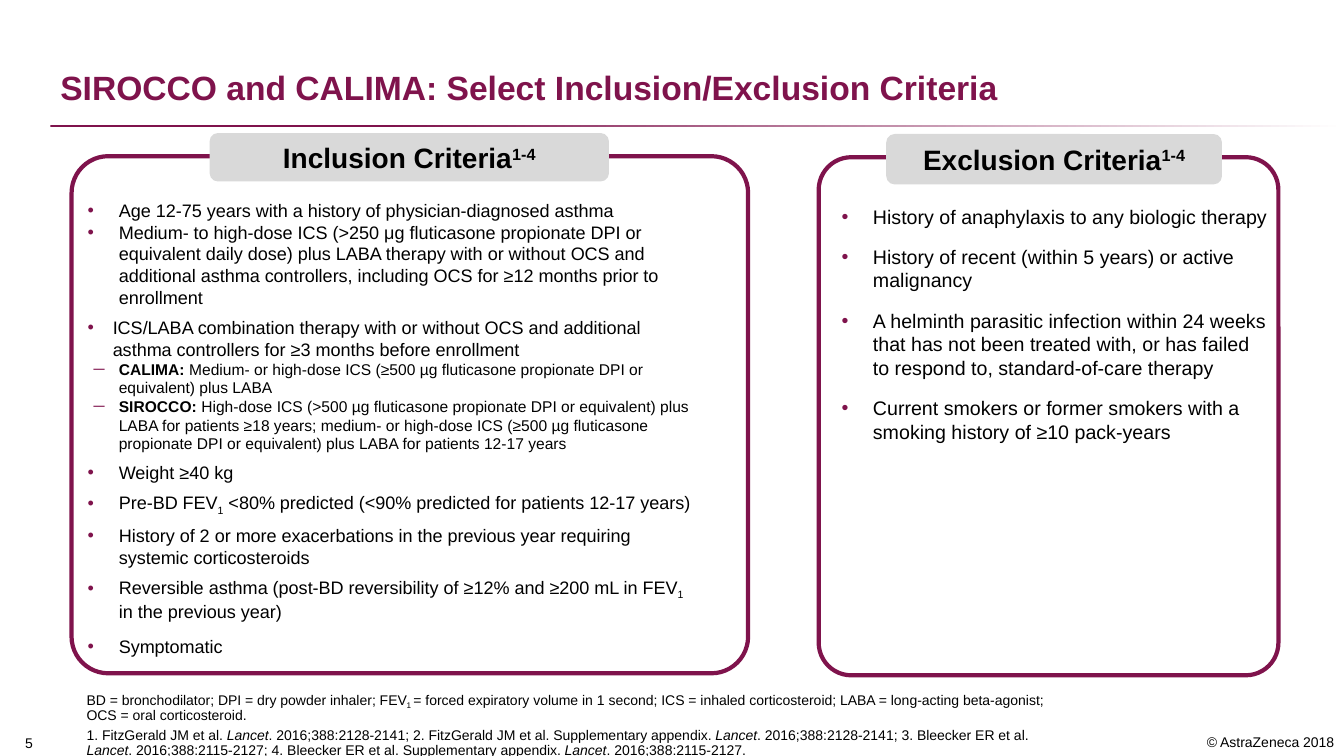
from dataclasses import dataclass

from lxml import etree
from pptx import Presentation
from pptx.dml import color
from pptx.enum import shapes, text
from pptx.oxml import ns
from pptx.util import Inches, Pt


@dataclass(frozen=True)
class Theme:
    font: str = "Arial"
    plum: str = "7F134C"
    grey: str = "D9D9D9"
    white: str = "FFFFFF"
    black: str = "000000"
    title: float = 24
    heading: float = 20
    exclusion: float = 14
    inclusion: float = 12.9
    detail: float = 11.1
    small: float = 10


@dataclass
class Item:
    runs: list
    indent: float = 0.31
    before: float = 6
    spacing: float = None
    size: float = None
    level: int = 0
    mark: str = "•"


THEME = Theme()
BASELINES = {"sub": "-25000", "sup": "30000"}

INCLUSION = [
    Item(["Age 12-75 years with a history of physician-diagnosed asthma"], before=0),
    Item(["Medium- to high-dose ICS (>250 μg fluticasone propionate DPI or equivalent daily dose) "
          "plus LABA therapy with or without OCS and additional asthma controllers, including OCS "
          "for ≥12 months prior to enrollment"], before=0),
    Item(["ICS/LABA combination therapy with or without OCS and additional asthma controllers "
          "for ≥3 months before enrollment"], indent=0.25),
    Item([("CALIMA: ", "bold"), "Medium- or high-dose ICS (≥500 µg fluticasone propionate DPI or "
          "equivalent) plus LABA"], before=0, size=THEME.detail, level=1, mark="─"),
    Item([("SIROCCO:", "bold"), " High-dose ICS (>500 µg fluticasone propionate DPI or equivalent) "
          "plus LABA for patients ≥18 years; medium- or high-dose ICS (≥500 µg fluticasone "
          "propionate DPI or equivalent) plus LABA for patients 12-17 years"],
         before=0, size=THEME.detail, level=1, mark="─"),
    Item(["Weight ≥40 kg"]),
    Item(["Pre-BD FEV", ("1", "sub"), " <80% predicted (<90% predicted for patients 12-17 years)"]),
    Item(["History of 2 or more exacerbations in the previous year requiring systemic "
          "corticosteroids"]),
    Item(["Reversible asthma (post-BD reversibility of ≥12% and ≥200 mL in FEV", ("1", "sub"),
          " in the previous year)"]),
    Item(["Symptomatic"], spacing=1.2),
]

EXCLUSION = [
    Item(["History of anaphylaxis to any biologic therapy"], before=0),
    Item(["History of recent (within 5 years) or active malignancy"], before=12),
    Item(["A helminth parasitic infection within 24 weeks that has not been treated with, or has "
          "failed to respond to, standard-of-care therapy"], before=12),
    Item(["Current smokers or former smokers with a smoking history of ≥10 pack-years"], before=12),
]

LANCET = ("Lancet", "italic")
FOOTNOTES = [
    Item(["BD = bronchodilator; DPI = dry powder inhaler; FEV", ("1 ", "sub"),
          "= forced expiratory volume in 1 second; ICS = inhaled corticosteroid; "
          "LABA = long-acting beta-agonist; OCS = oral corticosteroid."],
         before=0, spacing=0.9, mark=None),
    Item(["1. FitzGerald JM et al. ", LANCET,
          ". 2016;388:2128-2141; 2. FitzGerald JM et al. Supplementary appendix. ", LANCET,
          ". 2016;388:2128-2141; 3. Bleecker ER et al. ", LANCET,
          ". 2016;388:2115-2127; 4. Bleecker ER et al. Supplementary appendix. ", LANCET,
          ". 2016;388:2115-2127."], before=3, spacing=0.9, mark=None),
]


def rgb(value):
    return color.RGBColor.from_string(value)


def add_bullet(paragraph, item):
    properties = paragraph._p.get_or_add_pPr()
    hanging = Inches(min(item.indent, 0.25) if item.level else item.indent)
    properties.set("marL", str(Inches(item.indent)))
    properties.set("indent", str(-hanging))
    bullet_color = etree.SubElement(properties, ns.qn("a:buClr"))
    etree.SubElement(bullet_color, ns.qn("a:srgbClr"), val=THEME.plum)
    etree.SubElement(properties, ns.qn("a:buFont"), typeface=THEME.font)
    etree.SubElement(properties, ns.qn("a:buChar"), char=item.mark)


def write_text(frame, items, size, ink=THEME.black, bold=False, align=text.PP_ALIGN.LEFT,
               anchor=text.MSO_ANCHOR.TOP, insets=(0.1, 0.05, 0.1, 0.05)):
    frame.word_wrap = True
    frame.vertical_anchor = anchor
    frame.margin_left, frame.margin_top, frame.margin_right, frame.margin_bottom = map(Inches, insets)
    for index, item in enumerate(items):
        paragraph = frame.add_paragraph() if index else frame.paragraphs[0]
        if item.mark:
            add_bullet(paragraph, item)
        paragraph.alignment = align
        paragraph.level = item.level
        paragraph.space_before = Pt(item.before)
        if item.spacing:
            paragraph.line_spacing = item.spacing
        for part in item.runs:
            words, style = (part, None) if isinstance(part, str) else part
            run = paragraph.add_run()
            run.text = words
            run.font.name = THEME.font
            run.font.size = Pt(item.size or size)
            run.font.color.rgb = rgb(ink)
            run.font.bold = bold or style == "bold"
            run.font.italic = style == "italic"
            if style in BASELINES:
                run._r.get_or_add_rPr().set("baseline", BASELINES[style])


def add_text(slide, box, items, size, **style):
    shape = slide.shapes.add_textbox(*map(Inches, box))
    write_text(shape.text_frame, items, size, **style)


def plain(*runs, spacing=None):
    return [Item(list(runs), before=0, spacing=spacing, mark=None)]


def add_block(slide, kind, box, fill=None, outline=None):
    shape = slide.shapes.add_shape(kind, *map(Inches, box))
    shape.shadow.inherit = False
    if fill:
        shape.fill.solid()
        shape.fill.fore_color.rgb = rgb(fill)
    else:
        shape.fill.background()
    if outline:
        shape.line.color.rgb = rgb(outline)
        shape.line.width = Pt(3)
    else:
        shape.line.fill.background()
    return shape


def add_title_rule(slide):
    rule = add_block(slide, shapes.MSO_SHAPE.RECTANGLE, (0.5, 1.24, 12.83, 0.02))
    rule.fill.gradient()
    rule.fill.gradient_angle = 0
    for stop, position, tint in zip(rule.fill.gradient_stops, (0.26, 1), (THEME.plum, THEME.white)):
        stop.position = position
        stop.color.rgb = rgb(tint)


def add_criteria(slide, heading, frame_box, heading_box, list_box, items, size, **style):
    rounded = shapes.MSO_SHAPE.ROUNDED_RECTANGLE
    add_text(slide, list_box, items, size, **style)
    frame = add_block(slide, rounded, frame_box, outline=THEME.plum)
    frame.adjustments[0] = 0.071
    label = add_block(slide, rounded, heading_box, fill=THEME.grey)
    write_text(label.text_frame, plain(heading, ("1-4", "sup")), THEME.heading, bold=True,
               align=text.PP_ALIGN.CENTER, anchor=text.MSO_ANCHOR.MIDDLE)


def main():
    presentation = Presentation()
    presentation.slide_width, presentation.slide_height = Inches(13.33), Inches(7.5)
    slide = presentation.slides.add_slide(presentation.slide_layouts[6])

    add_text(slide, (11.11, 7.23, 2.22, 0.27), plain("© AstraZeneca 2018"), THEME.small,
             align=text.PP_ALIGN.RIGHT)
    add_title_rule(slide)
    add_text(slide, (0.5, 0.25, 12.33, 0.87),
             plain("SIROCCO and CALIMA: Select Inclusion/Exclusion Criteria", spacing=0.9),
             THEME.title, ink=THEME.plum, bold=True, anchor=text.MSO_ANCHOR.BOTTOM)
    add_text(slide, (0.76, 6.81, 10.02, 0.69), FOOTNOTES, THEME.small)
    add_text(slide, (0, 7.21, 0.53, 0.29), plain("5"), THEME.small, align=text.PP_ALIGN.CENTER,
             anchor=text.MSO_ANCHOR.BOTTOM, insets=(0.1, 0.05, 0.05, 0.05))
    add_criteria(slide, "Inclusion Criteria", (0.71, 1.55, 6.71, 5.13), (2.08, 1.32, 3.96, 0.48),
                 (0.77, 1.88, 6.28, 4.79), INCLUSION, THEME.inclusion, insets=(0.1, 0.1, 0.1, 0))
    add_criteria(slide, "Exclusion Criteria", (8.12, 1.56, 4.56, 5.14), (8.79, 1.33, 3.33, 0.5),
                 (8.25, 1.98, 4.43, 4.48), EXCLUSION, THEME.exclusion)
    presentation.save("out.pptx")


if __name__ == "__main__":
    main()
